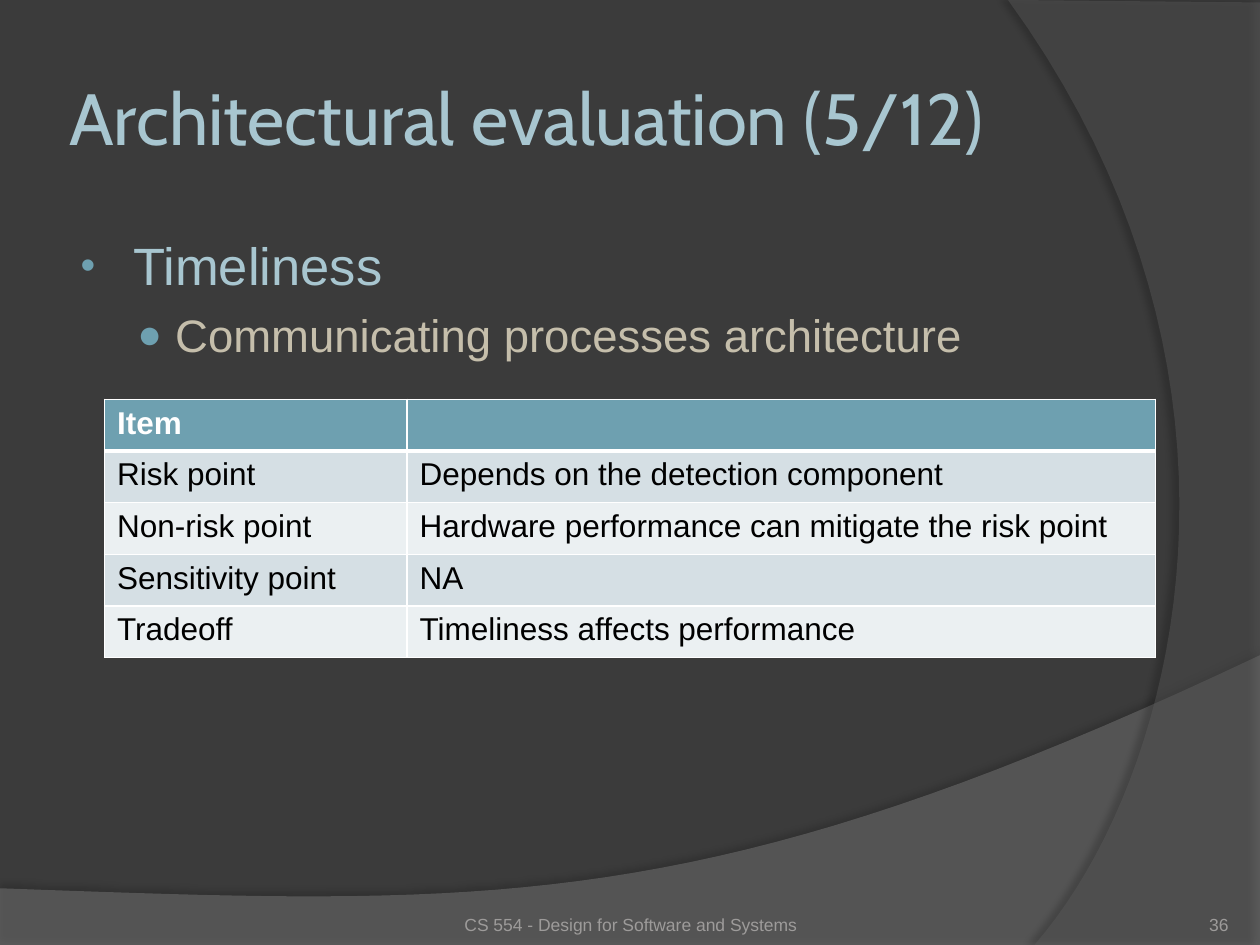
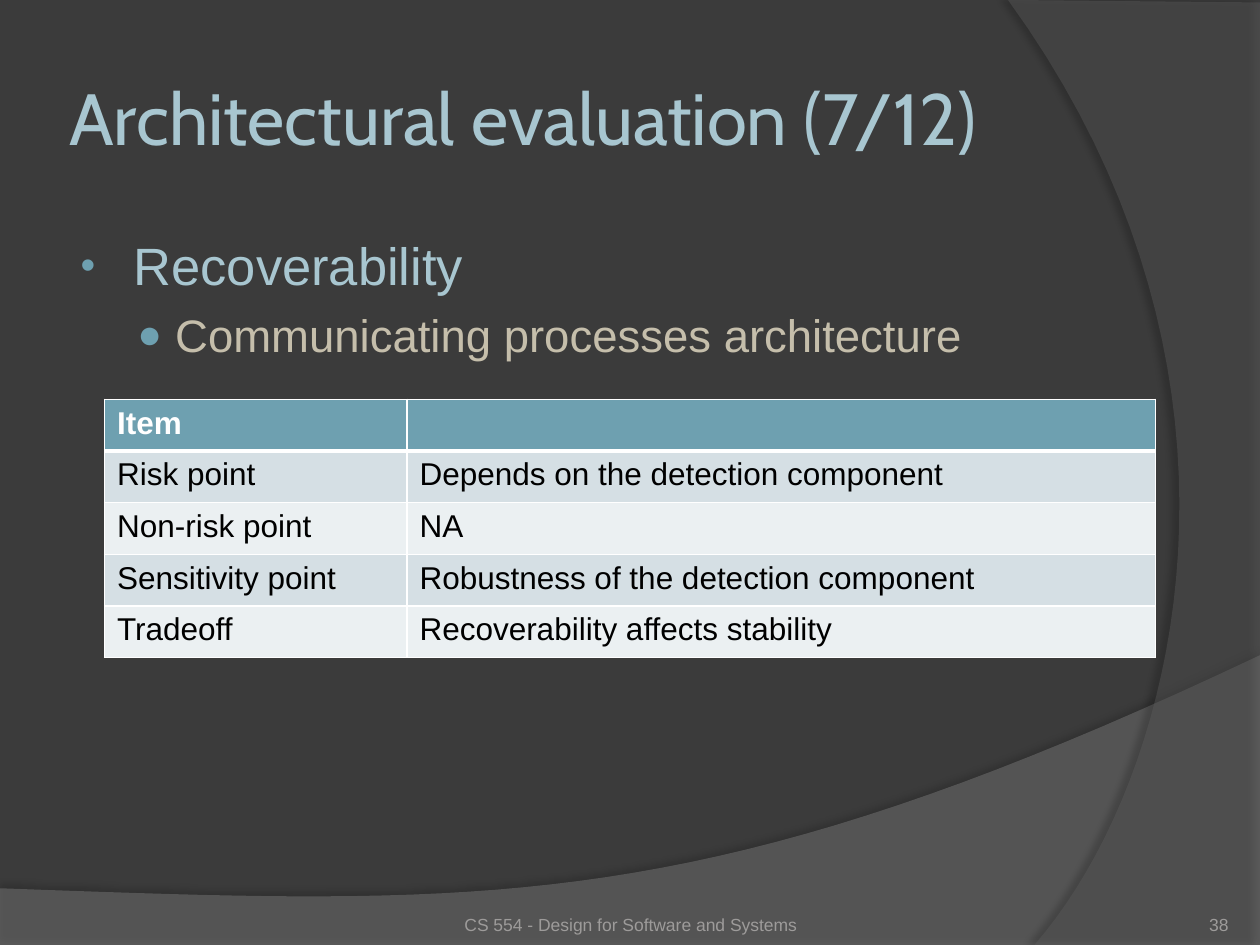
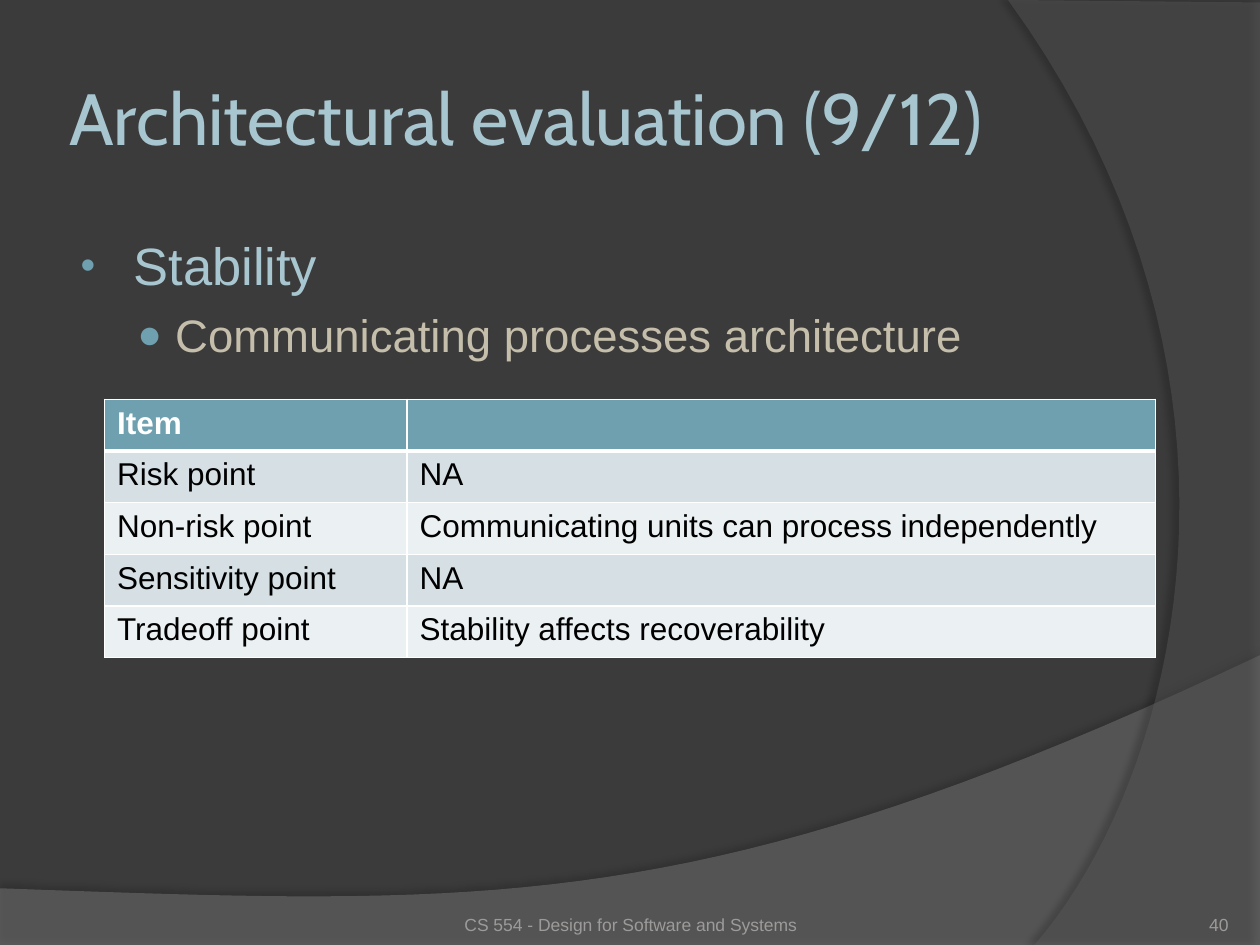
from lxml import etree
from pptx import Presentation
from pptx.dml.color import RGBColor
from pptx.enum import text
from pptx.oxml import ns
from pptx.util import Inches, Pt

BACKGROUND = RGBColor(0x3B, 0x3B, 0x3B)
LOWER_WAVE = RGBColor(0x7F, 0x7F, 0x7F)
RIGHT_WAVE = RGBColor(0x5E, 0x5E, 0x5E)
PALE_BLUE = RGBColor(0xA8, 0xC6, 0xD0)
SAND = RGBColor(0xC5, 0xBE, 0xAB)
TEAL = RGBColor(0x6E, 0xA0, 0xB0)
DARK_BAND = RGBColor(0xD5, 0xDF, 0xE4)
LIGHT_BAND = RGBColor(0xEB, 0xF0, 0xF2)
FOOTER_GREY = RGBColor(0x9D, 0x9B, 0x9A)
WHITE = RGBColor(0xFF, 0xFF, 0xFF)
BLACK = RGBColor(0x00, 0x00, 0x00)


def add_element(parent, tag, **attributes):
    values = {name: str(value) for name, value in attributes.items()}
    return etree.SubElement(parent, ns.qn(tag), values)


def set_font(paragraph, size, color, name="Arial", bold=False):
    paragraph.font.size = Pt(size)
    paragraph.font.name = name
    paragraph.font.bold = bold
    paragraph.font.color.rgb = color


WAVES = [
    (LOWER_WAVE, 45, 35, 3.5, 270,
     [(0, 7.05), (0, 7.51), (10, 7.51)],
     [(10, 5.2), (5.59, 7.29), (3.91, 7.19), (0, 7.05)]),
    (RIGHT_WAVE, 40, 45, 4, 180,
     [(10, 0.02), (10, 7.5)],
     [(8.21, 7.5), (9.35, 6.19), (10.18, 3), (8, 0)]),
]
CURVE_STEPS = 40

EVALUATIONS = [
    (5, 36, "Timeliness", [
        ("Risk point", "Depends on the detection component"),
        ("Non-risk point", "Hardware performance can mitigate the risk point"),
        ("Sensitivity point", "NA"),
        ("Tradeoff", "Timeliness affects performance")]),
    (7, 38, "Recoverability", [
        ("Risk point", "Depends on the detection component"),
        ("Non-risk point", "NA"),
        ("Sensitivity point", "Robustness of the detection component"),
        ("Tradeoff", "Recoverability affects stability")]),
    (9, 40, "Stability", [
        ("Risk point", "NA"),
        ("Non-risk point", "Communicating units can process independently"),
        ("Sensitivity point", "NA"),
        ("Tradeoff point", "Stability affects recoverability")]),
]

presentation = Presentation()
presentation.slide_width = Inches(10)
presentation.slide_height = Inches(7.5)
master = presentation.slide_master
master.background.fill.solid()
master.background.fill.fore_color.rgb = BACKGROUND
layout = presentation.slide_layouts[1]
slides = [presentation.slides.add_slide(layout) for _ in EVALUATIONS]

for index, (color, opacity, shadow_opacity, distance, angle, corners, curve) in enumerate(WAVES):
    points = list(corners)
    for step in range(CURVE_STEPS + 1):
        t = step / CURVE_STEPS
        weights = ((1 - t) ** 3, 3 * t * (1 - t) ** 2, 3 * t * t * (1 - t), t ** 3)
        points.append(tuple(sum(weight * point[axis] for weight, point in zip(weights, curve))
                            for axis in (0, 1)))
    points = [(Inches(x), Inches(y)) for x, y in points]
    builder = slides[0].shapes.build_freeform(*points[0], scale=1.0)
    builder.add_line_segments(points[1:], close=True)
    wave = builder.convert_to_shape()
    wave.fill.solid()
    wave.fill.fore_color.rgb = color
    wave.line.fill.background()
    wave.shadow.inherit = False
    properties = wave.element.spPr
    fill_color = properties.find(".//" + ns.qn("a:solidFill"))[0]
    add_element(fill_color, "a:alpha", val=opacity * 1000)
    shadow = add_element(properties.find(ns.qn("a:effectLst")), "a:outerShdw",
                         blurRad=Pt(4), dist=Pt(distance), dir=angle * 60000,
                         algn="ctr", rotWithShape=0)
    shadow_color = add_element(shadow, "a:srgbClr", val=BLACK)
    add_element(shadow_color, "a:alpha", val=shadow_opacity * 1000)
    wave.element.nvSpPr.cNvPr.set("id", str(20 + index))
    master.shapes.element.insert(2 + index, wave.element)

for slide, (part, page, quality, findings) in zip(slides, EVALUATIONS):
    title, body = slide.placeholders
    title.left, title.top, title.width, title.height = map(Inches, (0.5, 0.3, 8.17, 1.25))
    frame = title.text_frame
    frame.text = f"Architectural evaluation ({part}/12)"
    frame.margin_left = frame.margin_right = frame.margin_top = frame.margin_bottom = Inches(0.05)
    frame.vertical_anchor = text.MSO_ANCHOR.MIDDLE
    frame.auto_size = text.MSO_AUTO_SIZE.NONE
    frame.paragraphs[0].alignment = text.PP_ALIGN.LEFT
    set_font(frame.paragraphs[0], 41.4, PALE_BLUE, "Cabin")

    body.left, body.top, body.width, body.height = map(Inches, (0.5, 1.75, 8.17, 4.95))
    frame = body.text_frame
    frame.text = f"{quality}\nCommunicating processes architecture"
    frame.margin_top = Inches(0.1)
    frame.auto_size = text.MSO_AUTO_SIZE.NONE
    bullets = [(0.46, -0.42, 0, "•", 80, 30, PALE_BLUE),
               (0.79, -0.3, 6, "●", 90, 26, SAND)]
    for level, (paragraph, bullet) in enumerate(zip(frame.paragraphs, bullets)):
        margin, indent, space, symbol, scale, size, color = bullet
        paragraph.level = level
        paragraph.space_before = Pt(space)
        properties = paragraph._p.get_or_add_pPr()
        properties.set("marL", str(Inches(margin)))
        properties.set("indent", str(Inches(indent)))
        add_element(add_element(properties, "a:buClr"), "a:srgbClr", val=TEAL)
        add_element(properties, "a:buSzPct", val=scale * 1000)
        add_element(properties, "a:buFont", typeface="Arial")
        add_element(properties, "a:buChar", char=symbol)
        set_font(paragraph, size, color)

    rows = [("Item", "")] + findings
    table = slide.shapes.add_table(len(rows), 2, Inches(0.83), Inches(3.17),
                                   Inches(8.34), Inches(0.41 * len(rows))).table
    table.columns[0].width = Inches(2.4)
    table.columns[1].width = Inches(5.94)
    for row, labels in enumerate(rows):
        header = row == 0
        for column, label in enumerate(labels):
            cell = table.cell(row, column)
            cell.text = label
            set_font(cell.text_frame.paragraphs[0], 18, WHITE if header else BLACK, bold=header)
            properties = cell._tc.get_or_add_tcPr()
            for side, width in (("L", 1), ("R", 1), ("T", 3 if row == 1 else 1),
                                ("B", 3 if header else 1)):
                border = add_element(properties, f"a:ln{side}", w=Pt(width))
                add_element(add_element(border, "a:solidFill"), "a:srgbClr", val=WHITE)
            cell.fill.solid()
            cell.fill.fore_color.rgb = TEAL if header else DARK_BAND if row % 2 else LIGHT_BAND

    for label, left, width, margin, alignment in (
            (str(page), 8.92, 0.83, 0, text.PP_ALIGN.RIGHT),
            ("CS 554 - Design for Software and Systems", 3.42, 3.17, 0.05, text.PP_ALIGN.CENTER)):
        footer = slide.shapes.add_textbox(Inches(left), Inches(7.02), Inches(width), Inches(0.4))
        frame = footer.text_frame
        frame.word_wrap = True
        frame.text = label
        frame.margin_left = frame.margin_right = frame.margin_bottom = 0
        frame.margin_top = Inches(margin)
        frame.vertical_anchor = text.MSO_ANCHOR.BOTTOM
        frame.paragraphs[0].alignment = alignment
        set_font(frame.paragraphs[0], 10, FOOTER_GREY)

presentation.save("out.pptx")
